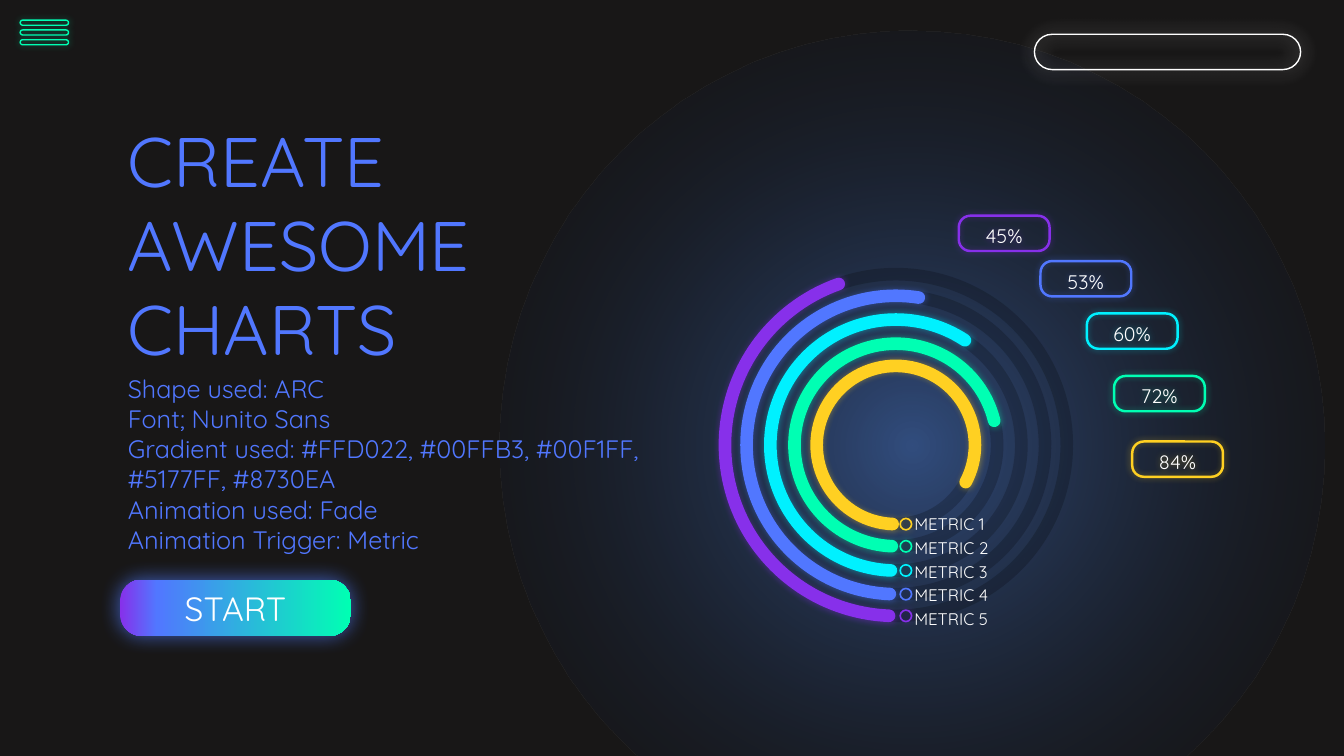
from pptx import Presentation, util as u
from pptx.dml.color import RGBColor
from pptx.enum import shapes, text
from pptx.oxml import parse_xml
from pptx.oxml.ns import nsdecls, qn

WIDE, HIGH = 13.33, 7.5
FONT = "Quicksand"
VIOLET, BLUE, CYAN, GREEN, GOLD = "8730EA", "5177FF", "00F1FF", "00FFB3", "FFD022"
BLEND = [(0, VIOLET, 100), (26, BLUE, 100), (100, GREEN, 100)]
KIND = shapes.MSO_SHAPE
START = 92.29  # angle at which every arc begins

# name, share, colour, ring diameter, end angle, label offset from the rings' box
METRICS = [
    ("METRIC 5", "45%", VIOLET, 3.39, 250.47, (2.32, -0.58)),
    ("METRIC 4", "53%", BLUE, 2.96, 278.86, (3.13, -0.13)),
    ("METRIC 3", "60%", CYAN, 2.49, 303.38, (3.59, 0.39)),
    ("METRIC 2", "72%", GREEN, 2.01, 346.17, (3.86, 1.01)),
    ("METRIC 1", "84%", GOLD, 1.57, 27.97, (4.04, 1.66)),
]


def tint(code):
    return RGBColor.from_string(code)


def blend(stops, round_=False):
    """Gradient fill, running rightwards or outwards from the middle."""
    marks = "".join(
        f'<a:gs pos="{pos * 1000}"><a:srgbClr val="{code}">'
        f'<a:alpha val="{alpha * 1000}"/></a:srgbClr></a:gs>'
        for pos, code, alpha in stops)
    way = ('<a:path path="circle"><a:fillToRect l="50000" t="50000" r="50000" b="50000"/></a:path>'
           if round_ else '<a:lin ang="0" scaled="0"/>')
    return parse_xml(f'<a:gradFill {nsdecls("a")} rotWithShape="1">'
                     f'<a:gsLst>{marks}</a:gsLst>{way}</a:gradFill>')


def write(shape, words, size=14, color="FFFFFF", grad=None, align="LEFT", anchor="TOP"):
    frame = shape.text_frame
    frame.word_wrap = True
    frame.vertical_anchor = getattr(text.MSO_ANCHOR, anchor)
    frame.text = words
    for para in frame.paragraphs:
        para.alignment = getattr(text.PP_ALIGN, align)
        for run in para.runs:
            run.font.size, run.font.name = u.Pt(size), FONT
            if grad:
                run.font._element.insert(0, blend(grad))
            else:
                run.font.fill.solid()
                run.font.fill.fore_color.rgb = tint(color)


def label(home, box, words, **form):
    write(home.shapes.add_textbox(*map(u.Inches, box)), words, **form)


def draw(home, kind, box, fill=None, grad=None, round_=False, line=None,
         width=1, alpha=100, glow=None, adj=()):
    shape = home.shapes.add_shape(kind, *map(u.Inches, box))
    for i, value in enumerate(adj):
        shape.adjustments[i] = value
    props = shape._element.spPr
    shape.fill.background()
    if fill:
        shape.fill.solid()
        shape.fill.fore_color.rgb = tint(fill)
    elif grad:
        props.replace(props.find(qn("a:noFill")), blend(grad, round_))
    shape.line.fill.background()
    if line:
        shape.line.color.rgb = tint(line)
        shape.line.width = u.Pt(width)
        edge = props.find(qn("a:ln"))
        edge.set("cap", "rnd")
        if alpha < 100:
            edge.find(".//" + qn("a:srgbClr")).append(
                parse_xml(f'<a:alpha {nsdecls("a")} val="{alpha * 1000}"/>'))
    shape.shadow.inherit = False
    if glow:
        code, strength, blur = glow
        props.find(qn("a:effectLst")).append(parse_xml(
            f'<a:outerShdw {nsdecls("a")} blurRad="{u.Pt(blur)}" dist="0" dir="0" algn="ctr" '
            f'rotWithShape="0"><a:srgbClr val="{code}"><a:alpha val="{strength * 1000}"/>'
            '</a:srgbClr></a:outerShdw>'))
    return shape


def arc(home, mid, size, first, last, **look):
    x, y = mid
    draw(home, KIND.ARC, (x - size / 2, y - size / 2, size, size), width=9,
         adj=(first * 0.6, last * 0.6), **look)


def rings(slide, left, top, size):
    mid = left + size / 2, top + size / 2
    # Halo and dark tracks
    draw(slide, KIND.OVAL, (left - 2.24, top - 2.42, 8.19, 8.24), round_=True,
         grad=[(0, "4472C4", 60), (100, "000000", 0)])
    tracks = slide.shapes.add_group_shape()
    for _, _, _, wide, _, _ in reversed(METRICS):
        arc(tracks, mid, wide, 1, 0, line="000000", alpha=20)
    # Coloured arcs with their share labels
    for _, share, color, wide, end, (dx, dy) in METRICS:
        group = slide.shapes.add_group_shape()
        glow = (color, 40, 5)
        arc(group, mid, wide, START, end, line=color, glow=glow)
        pill = draw(group, KIND.ROUNDED_RECTANGLE, (left + dx, top + dy, 0.9, 0.35),
                    line=color, width=1.75, glow=glow, adj=[0.327])
        write(pill, share, align="CENTER")


def legend(slide, left, top, size):
    dot = 0.13
    for i, (name, _, color, wide, _, _) in enumerate(METRICS):
        group = slide.shapes.add_group_shape()
        foot = top + size / 2 + wide / 2  # lowest point of the ring
        draw(group, KIND.DONUT, (left + 1.73, foot - dot / 2, dot, dot),
             fill=color, glow=(color, 40, 5), adj=[0.128])
        label(group, (left + 1.78, top + 3.27 - i * 0.235, 0.97, 0.17), name, size=12)


def story(slide, left, top):
    label(slide, (left, top, 5.13, 2.63), "CREATE\nAWESOME\nCHARTS", size=50, grad=BLEND)
    label(slide, (left, top + 2.53, 5.74, 2.22),
          "Shape used: ARC\nFont; Nunito Sans\n"
          "Gradient used: #FFD022, #00FFB3, #00F1FF, #5177FF, #8730EA\n"
          "Animation used: Fade\nAnimation Trigger: Metric", size=18, grad=BLEND)
    button = draw(slide, KIND.ROUNDED_RECTANGLE, (left + 0.02, top + 4.63, 2.29, 0.56),
                  grad=[(0, VIOLET, 100), (16, BLUE, 100), (100, GREEN, 100)],
                  glow=("4F7BFD", 73, 15), adj=[0.39])
    write(button, "START", size=24, align="CENTER", anchor="MIDDLE")


def header(slide, left, top):
    # Search field, then menu bars
    draw(slide, KIND.ROUNDED_RECTANGLE, (WIDE - 3.07, top + 0.14, 2.64, 0.35),
         line="FFFFFF", glow=("FFFFFF", 82, 13), adj=[0.5])
    for i in range(3):
        draw(slide, KIND.ROUNDED_RECTANGLE, (left, top + i * 0.097, 0.48, 0.05),
             line=GREEN, glow=(GREEN, 40, 5), adj=[0.5])


def main():
    deck = Presentation()
    deck.slide_width, deck.slide_height = u.Inches(WIDE), u.Inches(HIGH)
    slide = deck.slides.add_slide(deck.slide_layouts[6])
    slide.background.fill.solid()
    slide.background.fill.fore_color.rgb = tint("181717")
    dial = 7.19, 2.72, 3.39
    rings(slide, *dial)
    story(slide, 1.17, 1.12)
    legend(slide, *dial)
    header(slide, 0.2, 0.2)
    deck.save("out.pptx")


if __name__ == "__main__":
    main()
